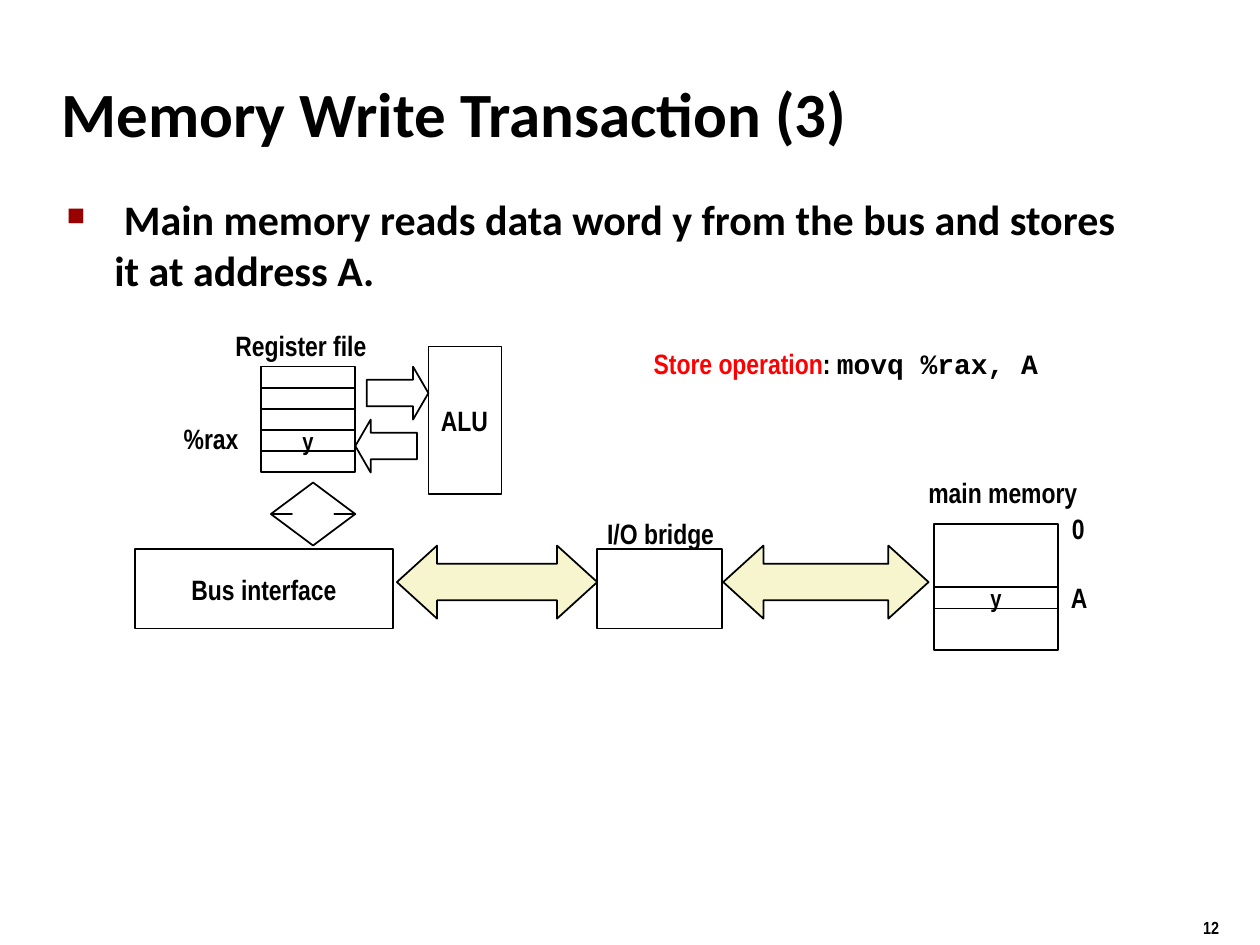
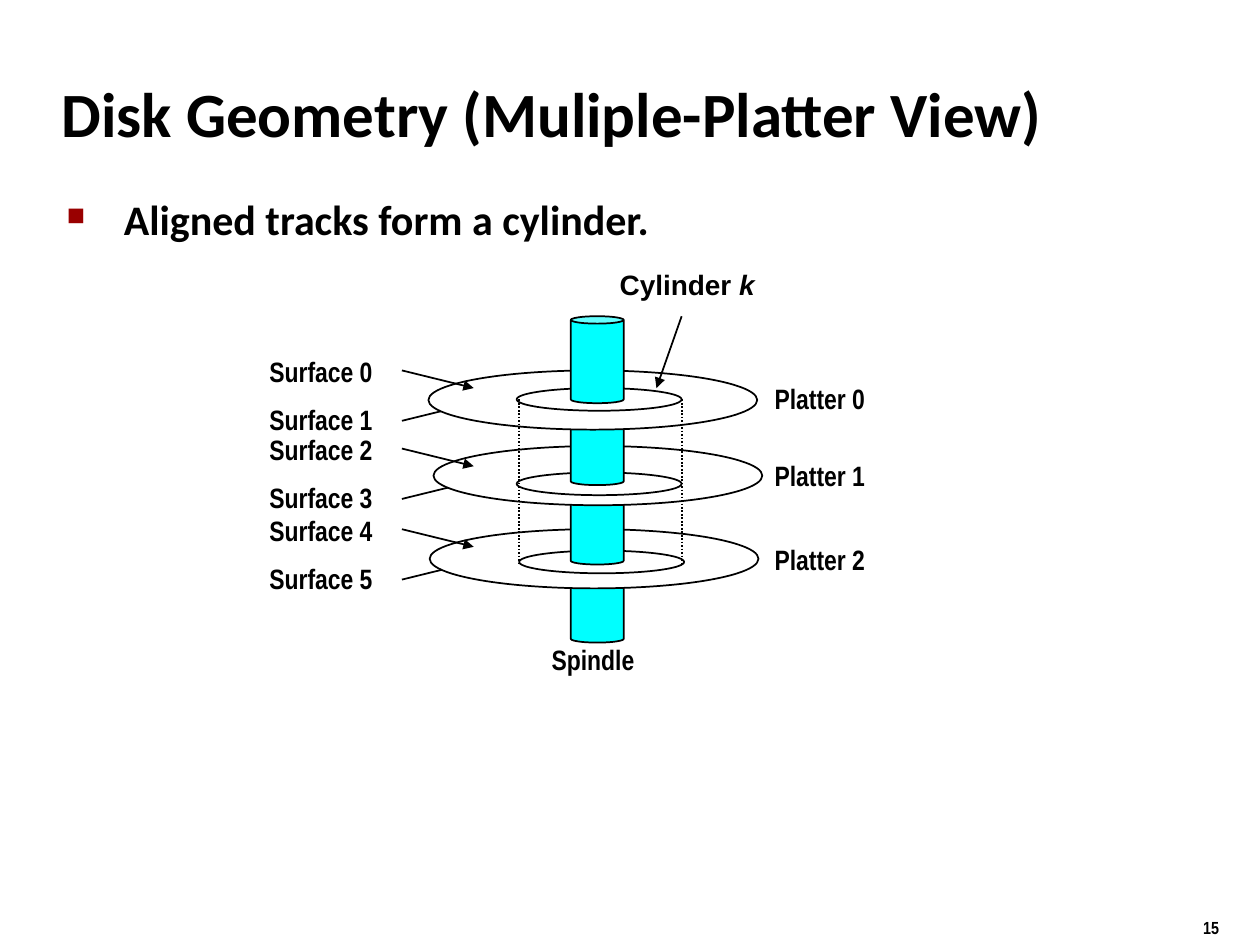
from lxml import etree
from pptx import Presentation
from pptx.dml.color import RGBColor
from pptx.enum.dml import MSO_LINE_DASH_STYLE as Dash
from pptx.enum.shapes import MSO_CONNECTOR as Connector, MSO_SHAPE as Shape
from pptx.enum.text import MSO_ANCHOR as Anchor, MSO_AUTO_SIZE as AutoSize, PP_ALIGN as Align
from pptx.oxml.ns import qn
from pptx.util import Inches, Pt

COLORS = {
    "ink": "000000",
    "paper": "FFFFFF",
    "bullet": "990000",
    "operation": "FF0000",
    "bus": "F7F5CD",
    "spindle": "00FFFF",
}
TITLE = {"name": "Calibri", "size": Pt(36)}
BODY = {"name": "Calibri", "size": Pt(24)}
LABEL = {"name": "Arial Narrow", "size": Pt(16)}
VALUE = {"name": "Arial Narrow", "size": Pt(14)}
NUMBER = {"name": "Arial Narrow", "size": Pt(10)}
CODE = {"name": "Courier New", "size": Pt(16)}
CYLINDER = {"name": "Arial", "size": Pt(16)}


def color(name):
    return RGBColor.from_string(COLORS[name])


def inches(*lengths):
    return [Inches(length) for length in lengths]


def add_span(para, text, style, ink="ink"):
    span = para.add_run()
    span.text = text
    for name, value in {"bold": True, **style}.items():
        setattr(span.font, name, value)
    span.font.color.rgb = color(ink)


def set_frame(shape, align=Align.LEFT, **settings):
    frame = shape.text_frame
    for name, value in settings.items():
        setattr(frame, name, value)
    frame.paragraphs[0].alignment = align
    return frame.paragraphs[0]


def add_label(page, at, *spans, anchor=Anchor.MIDDLE):
    box = page.shapes.add_textbox(*inches(*at))
    para = set_frame(box, word_wrap=False, auto_size=AutoSize.SHAPE_TO_FIT_TEXT,
                     vertical_anchor=anchor)
    for span in spans:
        add_span(para, *span)


def add_figure(page, kind, at, fill=None, adjustments=()):
    figure = page.shapes.add_shape(kind, *inches(*at))
    figure.shadow.inherit = False
    if fill:
        figure.fill.solid()
        figure.fill.fore_color.rgb = color(fill)
    else:
        figure.fill.background()
    figure.line.color.rgb = color("ink")
    figure.line.width = Pt(1)
    for index, value in enumerate(adjustments):
        figure.adjustments[index] = value
    return figure


def add_block(page, at, text="", style=LABEL, align=Align.CENTER, fill=None):
    block = add_figure(page, Shape.RECTANGLE, at, fill)
    if text:
        para = set_frame(block, align, word_wrap=False, vertical_anchor=Anchor.MIDDLE)
        add_span(para, text, style)


def add_line(page, start, end, arrow=False, dash=None):
    line = page.shapes.add_connector(Connector.STRAIGHT, *inches(*start, *end))
    line.line.color.rgb = color("ink")
    line.line.width = Pt(1)
    if dash:
        line.line.dash_style = dash
    if arrow:
        etree.SubElement(line.line._get_or_add_ln(), qn("a:tailEnd"), type="triangle")
    etree.SubElement(line._element.spPr, qn("a:effectLst"))


def add_bullet(para):
    properties = para._p.get_or_add_pPr()
    properties.set("marL", str(Inches(0.38)))
    properties.set("indent", str(-Inches(0.38)))
    tint = etree.SubElement(properties, qn("a:buClr"))
    etree.SubElement(tint, qn("a:srgbClr"), val=COLORS["bullet"])
    etree.SubElement(properties, qn("a:buSzPct"), val="60000")
    etree.SubElement(properties, qn("a:buChar"), char="■")


def add_page(deck, number, title, statement):
    page = deck.slides.add_slide(deck.slide_layouts[6])
    page.background.fill.solid()
    page.background.fill.fore_color.rgb = color("paper")
    add_label(page, (9.45, 7.23, 0.75, 0.26), (number, NUMBER), anchor=Anchor.TOP)
    heading = page.shapes.add_textbox(*inches(0.39, 0.48, 8.3, 0.83))
    add_span(set_frame(heading, word_wrap=True, vertical_anchor=Anchor.MIDDLE), title, TITLE)
    body = page.shapes.add_textbox(*inches(0.43, 1.49, 8.64, 5.44))
    para = set_frame(body, word_wrap=True)
    para.space_before = Pt(4.8)
    add_bullet(para)
    add_span(para, statement, BODY)
    return page


def draw_processor(page):
    for row, text in enumerate(["", "", "", "y", ""]):
        add_block(page, (2.07, 2.91 + row / 6, 0.75, 0.17), text, VALUE)
    add_figure(page, Shape.RIGHT_ARROW, (2.91, 2.91, 0.49, 0.42), adjustments=(0.5, 0.29))
    add_figure(page, Shape.LEFT_ARROW, (2.82, 3.33, 0.49, 0.42), adjustments=(0.5, 0.29))
    add_figure(page, Shape.UP_DOWN_ARROW, (2.15, 3.83, 0.67, 0.5), adjustments=(0.2, 0.5))
    add_block(page, (3.4, 2.75, 0.58, 1.17), "ALU", align=Align.LEFT)
    add_block(page, (1.07, 4.36, 2.05, 0.63), "Bus interface", fill="paper")


def draw_buses_and_memory(page):
    add_block(page, (7.41, 4.16, 0.99, 1))
    add_block(page, (7.41, 4.66, 0.99, 0.17), "y", VALUE)
    add_block(page, (4.74, 4.36, 0.99, 0.63))
    for left, width in [(3.15, 1.59), (5.74, 1.63)]:
        add_figure(page, Shape.LEFT_RIGHT_ARROW, (left, 4.33, width, 0.58), "bus", (0.5, 0.55))


def draw_write_transaction(deck):
    page = add_page(deck, "12", "Memory Write Transaction (3)",
                    " Main memory reads data word y from the bus and stores it at address A.")
    draw_buses_and_memory(page)
    draw_processor(page)
    for text, left, top, width in [
        ("Register file", 1.77, 2.56, 1.24),
        ("%rax", 1.36, 3.3, 0.68),
        ("I/O bridge", 4.72, 4.05, 1.05),
        ("main memory", 7.27, 3.73, 1.38),
        ("0", 8.41, 4.01, 0.3),
        ("A", 8.4, 4.56, 0.33),
    ]:
        add_label(page, (left, top, width, 0.36), (text, LABEL))
    add_label(page, (5.09, 2.7, 3.26, 0.63), ("Store operation", LABEL, "operation"),
              (": ", LABEL), ("movq %rax, A", CODE), anchor=Anchor.TOP)


def add_spindle(page, top):
    add_figure(page, Shape.CAN, (4.53, top, 0.42, 0.69), "spindle", (0.14,))


def draw_platter(page, index, platter, track, label_top, surface_top, spindle_top):
    arrow_top = surface_top + 0.17
    add_line(page, (3.19, arrow_top + 0.4), (3.76, arrow_top + 0.26), arrow=True)
    add_spindle(page, spindle_top)
    add_figure(page, Shape.OVAL, (*platter, 2.61, 0.47), "paper")
    add_figure(page, Shape.OVAL, (*track, 1.31, 0.18))
    add_line(page, (3.19, arrow_top), (3.76, arrow_top + 0.14), arrow=True)
    for side in range(2):
        add_label(page, (2.04, surface_top + 0.38 * side, 1.04, 0.36),
                  (f"Surface {2 * index + side}", LABEL))
    add_label(page, (6.05, label_top, 0.96, 0.36), (f"Platter {index}", LABEL))


def draw_disk_geometry(deck):
    page = add_page(deck, "15", "Disk Geometry (Muliple-Platter View)",
                    " Aligned tracks form a cylinder.")
    draw_platter(page, 2, (3.41, 4.2), (4.12, 4.37), 4.26, 4.03, 4.41)
    draw_platter(page, 1, (3.44, 3.54), (4.1, 3.75), 3.59, 3.39, 3.79)
    draw_platter(page, 0, (3.4, 2.94), (4.1, 3.08), 2.98, 2.77, 3.16)
    add_spindle(page, 2.51)
    for left in (4.12, 5.41):
        add_line(page, (left, 3.17), (left, 4.47), dash=Dash.ROUND_DOT)
    add_line(page, (5.41, 2.51), (5.21, 3.08), arrow=True)
    add_label(page, (4.82, 2.08, 1.27, 0.36), ("Cylinder ", CYLINDER),
              ("k", {**CYLINDER, "italic": True}))
    add_label(page, (4.28, 5.05, 0.86, 0.36), ("Spindle", LABEL))


def main():
    deck = Presentation()
    deck.slide_width, deck.slide_height = inches(10, 7.5)
    draw_write_transaction(deck)
    draw_disk_geometry(deck)
    deck.save("out.pptx")


if __name__ == "__main__":
    main()
